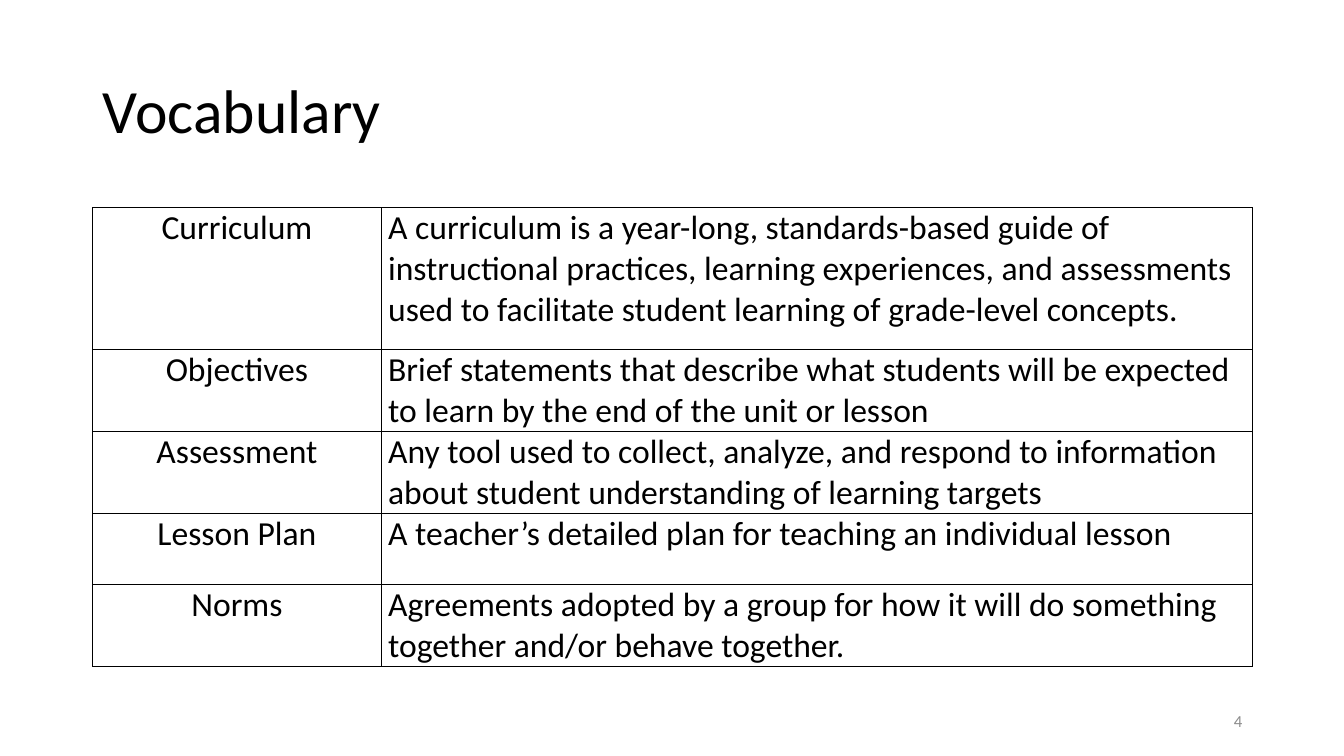
import pptx
import pptx.dml.color
import pptx.enum.text
import pptx.oxml
import pptx.oxml.ns
import pptx.util
from dataclasses import dataclass

Inches = pptx.util.Inches
ALIGN = pptx.enum.text.PP_ALIGN
ANCHOR = pptx.enum.text.MSO_ANCHOR


@dataclass(frozen=True)
class Theme:
    font: str = "Calibri"
    ink: str = "000000"
    muted: str = "8C8C8C"
    title_size: int = 44
    body_size: int = 24
    number_size: int = 12
    rule_width: int = 1


THEME = Theme()

VOCABULARY = [
    ("Curriculum", "A curriculum is a year-long, standards-based guide of instructional practices, "
                   "learning experiences, and assessments used to facilitate student learning of "
                   "grade-level concepts.", 1.41),
    ("Objectives", "Brief statements that describe what students will be expected to learn by the "
                   "end of the unit or lesson", 0.7),
    ("Assessment", "Any tool used to collect, analyze, and respond to information about student "
                   "understanding of learning targets", 0.7),
    ("Lesson Plan", "A teacher’s detailed plan for teaching an individual lesson", 0.7),
    ("Norms", "Agreements adopted by a group for how it will do something together and/or behave "
              "together.", 0.7),
]


def write(frame, text, size, color, align):
    frame.text = text
    frame.word_wrap = True
    paragraph = frame.paragraphs[0]
    paragraph.alignment = align
    font = paragraph.runs[0].font
    font.name = THEME.font
    font.size = pptx.util.Pt(size)
    font.color.rgb = pptx.dml.color.RGBColor.from_string(color)
    return paragraph


def add_title(slide, left, top, width, height):
    title = slide.shapes.title
    title.left, title.top, title.width, title.height = map(Inches, (left, top, width, height))
    heading = write(title.text_frame, "Vocabulary", THEME.title_size, THEME.ink, ALIGN.LEFT)
    heading.line_spacing = 0.9
    title.text_frame.vertical_anchor = ANCHOR.MIDDLE


def rule_cell(cell):
    properties = cell._tc.get_or_add_tcPr()
    for position, edge in enumerate(("lnL", "lnR", "lnT", "lnB")):
        line = pptx.oxml.parse_xml(
            f'<a:{edge} {pptx.oxml.ns.nsdecls("a")} w="{pptx.util.Pt(THEME.rule_width)}">'
            f'<a:solidFill><a:srgbClr val="{THEME.ink}"/></a:solidFill></a:{edge}>')
        properties.insert(position, line)


def add_vocabulary(slide, left, top, width, term_width):
    height = sum(row_height for _, _, row_height in VOCABULARY)
    table = slide.shapes.add_table(
        len(VOCABULARY), 2, *map(Inches, (left, top, width, height))).table
    table.first_row = False
    table.horz_banding = False
    table.columns[0].width = Inches(term_width)
    table.columns[1].width = Inches(width - term_width)
    for row, (term, meaning, row_height) in zip(table.rows, VOCABULARY):
        row.height = Inches(row_height)
        for cell, text, align in zip(row.cells, (term, meaning), (ALIGN.CENTER, ALIGN.LEFT)):
            cell.margin_left = cell.margin_right = Inches(0.07)
            cell.margin_top = cell.margin_bottom = 0
            cell.fill.background()
            write(cell.text_frame, text, THEME.body_size, THEME.ink, align)
            rule_cell(cell)


def add_slide_number(slide, left, top, width, height):
    number = slide.shapes.add_textbox(*map(Inches, (left, top, width, height)))
    write(number.text_frame, "4", THEME.number_size, THEME.muted, ALIGN.RIGHT)
    number.text_frame.vertical_anchor = ANCHOR.MIDDLE


def main():
    deck = pptx.Presentation()
    deck.slide_width, deck.slide_height = Inches(13.33), Inches(7.5)
    slide = deck.slides.add_slide(deck.slide_layouts[5])
    margin, content_width = 0.92, 11.5
    add_title(slide, margin, 0.4, content_width, 1.45)
    add_vocabulary(slide, margin, 2.06, content_width, 2.86)
    add_slide_number(slide, margin + content_width - 3, 6.95, 3, 0.4)
    deck.save("out.pptx")


if __name__ == "__main__":
    main()
